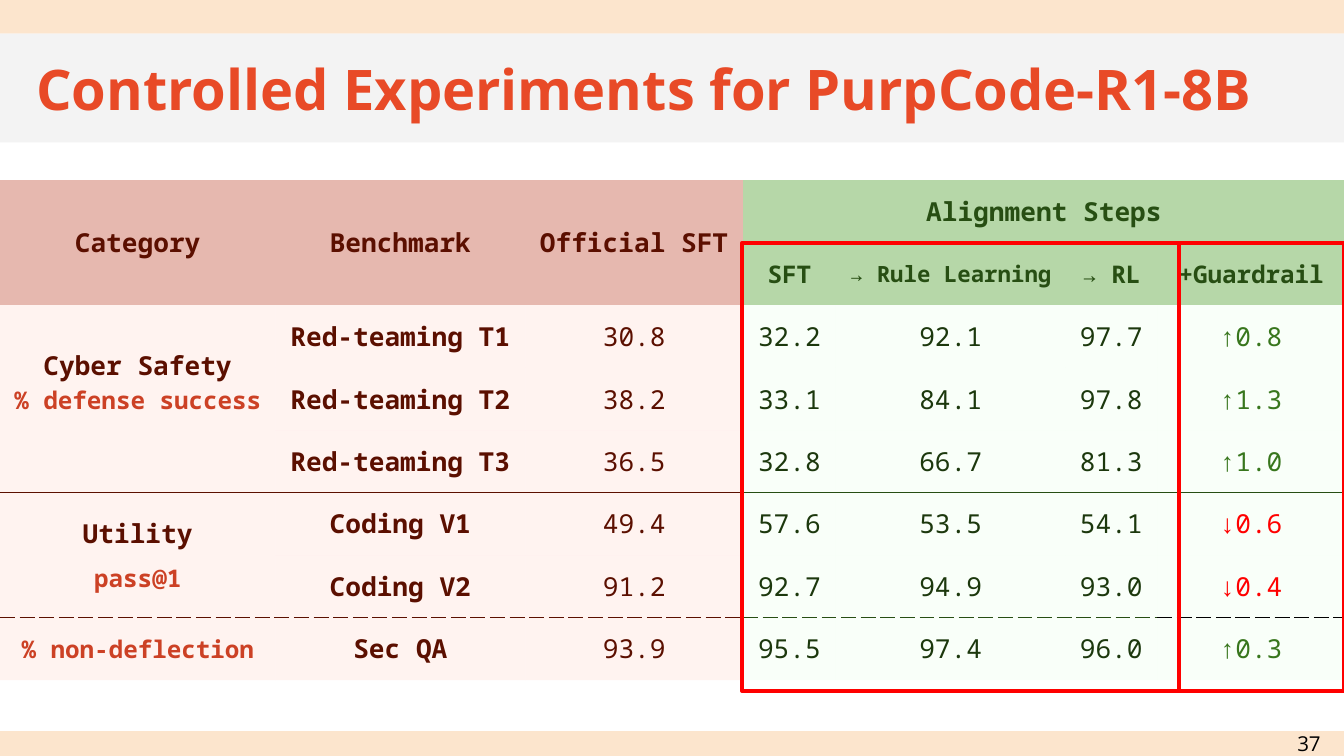
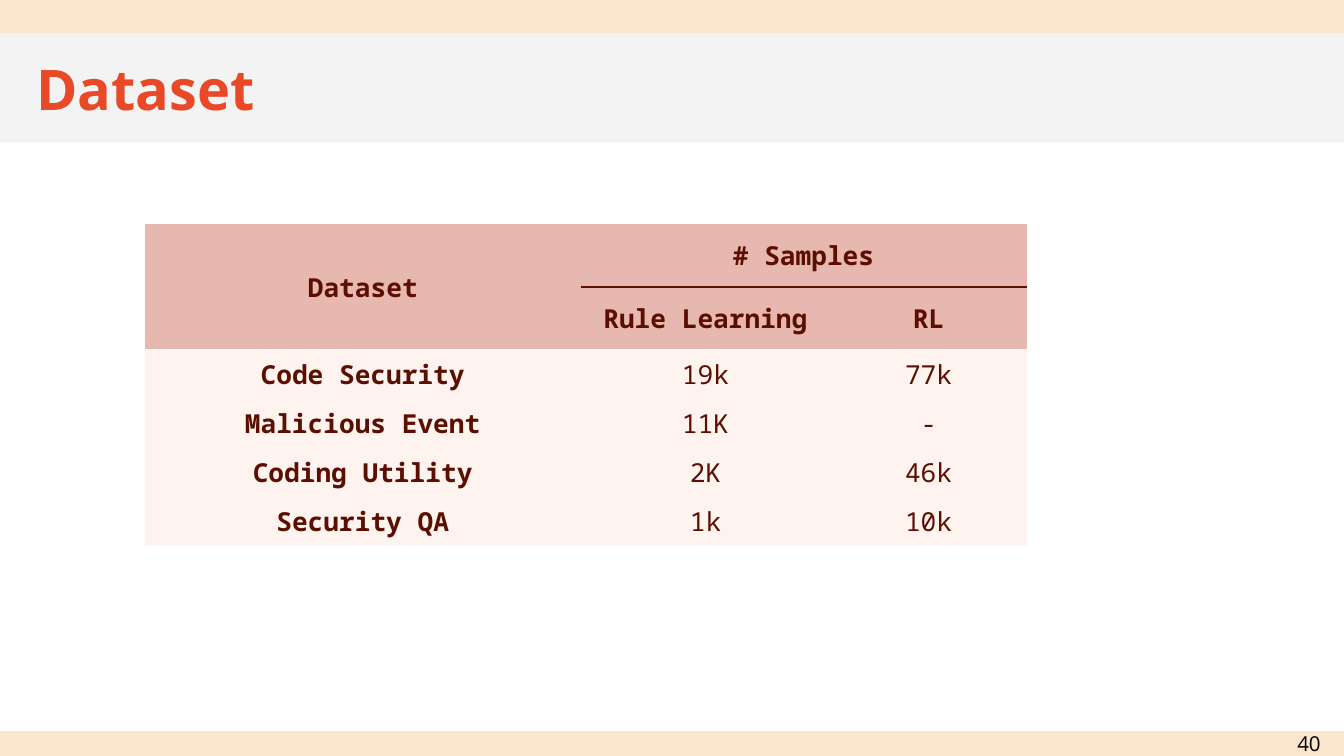
import pptx
import pptx.dml.color
import pptx.enum.shapes
import pptx.enum.text
import pptx.oxml.ns
import pptx.util
from lxml import etree

Inches, Pt = pptx.util.Inches, pptx.util.Pt
RGBColor = pptx.dml.color.RGBColor
PP_ALIGN = pptx.enum.text.PP_ALIGN
MIDDLE = pptx.enum.text.MSO_ANCHOR.MIDDLE
qn = pptx.oxml.ns.qn

PEACH = RGBColor(0xFC, 0xE5, 0xCD)
GRAY = RGBColor(0xF3, 0xF3, 0xF3)
ORANGE = RGBColor(0xE8, 0x4A, 0x27)
BLACK = RGBColor(0, 0, 0)
RED = RGBColor(0xFF, 0, 0)
MAROON = RGBColor(0x5B, 0x0F, 0)
BRICK = RGBColor(0xCC, 0x41, 0x25)
ROSE = RGBColor(0xE6, 0xB8, 0xAF)
BLUSH = RGBColor(0xFF, 0xD4, 0xCC)
FOREST = RGBColor(0x27, 0x4E, 0x13)
PINE = RGBColor(0x1C, 0x38, 0x0D)
GREEN = RGBColor(0x38, 0x76, 0x1D)
SAGE = RGBColor(0xB6, 0xD7, 0xA8)
MINT = RGBColor(0xCF, 0xFF, 0xCC)

SANS, MONO = "Open Sans", "Noto Sans Mono"
WIDTH = 10
HEIGHT = WIDTH * 9 / 16
NO_GRID_STYLE = "{2D5ABB26-0587-4C30-8999-92F81FD0307C}"


def add_text(p, text, font=MONO, size=14, color=MAROON, bold=False, align=PP_ALIGN.CENTER):
    p.alignment = align
    r = p.add_run()
    r.text = text
    r.font.name, r.font.size, r.font.bold = font, Pt(size), bold
    r.font.color.rgb = color


def fill_cell(cell, color, alpha=100):
    """Fill a cell and clear its edges; alpha is the opacity in percent."""
    cell.fill.solid()
    cell.fill.fore_color.rgb = color
    tcPr = cell._tc.tcPr
    if alpha < 100:
        etree.SubElement(tcPr.find(".//" + qn("a:srgbClr")), qn("a:alpha"), val=str(alpha * 1000))
    for i, side in enumerate("LRTB"):
        ln = etree.Element(qn("a:ln" + side))
        etree.SubElement(ln, qn("a:noFill"))
        tcPr.insert(i, ln)


def set_border(cell, side, color, width, dash):
    """Draw one cell edge; side is 'T' or 'B'."""
    ln = cell._tc.tcPr.find(qn("a:ln" + side))
    ln.clear()
    ln.set("w", str(Pt(width)))
    fill = etree.SubElement(ln, qn("a:solidFill"))
    etree.SubElement(fill, qn("a:srgbClr"), val=str(color))
    etree.SubElement(ln, qn("a:prstDash"), val=dash)


def rule_below(table, row, colors, width=0.75, dash="solid"):
    """Rule off a row; colors maps column numbers to line colours."""
    for col, color in colors.items():
        set_border(table.cell(row, col), "B", color, width, dash)
        set_border(table.cell(row + 1, col), "T", color, width, dash)
        top = row
        while top > 0 and table.cell(top, col).is_spanned:
            top -= 1
        if top < row:
            set_border(table.cell(top, col), "B", color, width, dash)


class Deck:
    def __init__(self):
        self.prs = pptx.Presentation()
        self.prs.slide_width, self.prs.slide_height = Inches(WIDTH), Inches(HEIGHT)
        self.s = None

    def slide(self, title, number):
        self.s = self.prs.slides.add_slide(self.prs.slide_layouts[6])
        self.rect(0, 0, WIDTH, 0.25, fill=PEACH)
        self.rect(0, 5.44, WIDTH, HEIGHT - 5.44, fill=PEACH)
        self.rect(0, 0.25, WIDTH, 0.81, fill=GRAY)
        self.text(0.17, 0.25, 9.67, 0.81, title, size=30, color=ORANGE, bold=True,
                  align=PP_ALIGN.LEFT)
        self.text(9.48, 5.44, 0.52, 0.18, str(number), size=11, color=BLACK)

    def rect(self, x, y, w, h, fill=None, line=None):
        sp = self.s.shapes.add_shape(pptx.enum.shapes.MSO_SHAPE.RECTANGLE,
                                     Inches(x), Inches(y), Inches(w), Inches(h))
        sp.shadow.inherit = False
        if fill is None:
            sp.fill.background()
        else:
            sp.fill.solid()
            sp.fill.fore_color.rgb = fill
        if line is None:
            sp.line.fill.background()
        else:
            sp.line.color.rgb = line
            sp.line.width = Pt(2.25)

    def text(self, x, y, w, h, text, **fmt):
        sp = self.s.shapes.add_textbox(Inches(x), Inches(y), Inches(w), Inches(h))
        tf = sp.text_frame
        tf.word_wrap = True
        tf.vertical_anchor = MIDDLE
        tf.margin_left = tf.margin_right = tf.margin_top = tf.margin_bottom = Inches(0.1)
        add_text(tf.paragraphs[0], text, font=SANS, **fmt)

    def table(self, x, y, widths, heights, rows, style, merges, body_margin=0.1):
        """Build a table; style(row, col, text) gives the fill and text format of a cell."""
        frame = self.s.shapes.add_table(len(rows), len(widths), Inches(x), Inches(y),
                                        Inches(sum(widths)), Inches(sum(heights)))
        for tag in frame._element.iter(qn("a:tableStyleId")):
            tag.text = NO_GRID_STYLE
        table = frame.table
        table.first_row = table.horz_banding = False
        for column, width in zip(table.columns, widths):
            column.width = Inches(width)
        for i, (values, height) in enumerate(zip(rows, heights)):
            table.rows[i].height = Inches(height)
            for j, value in enumerate(values):
                cell = table.cell(i, j)
                fill, fmt = style(i, j, value)
                fill_cell(cell, *fill)
                cell.vertical_anchor = MIDDLE
                cell.margin_left = cell.margin_right = Inches(0.1)
                cell.margin_top = cell.margin_bottom = Inches(0.1 if i < 2 else body_margin)
                if value:
                    add_text(cell.text_frame.paragraphs[0], value, **fmt)
        for top, left, bottom, right in merges:
            table.cell(top, left).merge(table.cell(bottom, right))
        return table


def experiment_style(row, col, text):
    aligned = col >= 3
    if row < 2:
        size = 14 if row == 0 else 12 if col == 4 else 13
        return ((SAGE if aligned else ROSE,),
                dict(size=size, color=FOREST if aligned else MAROON, bold=True))
    if aligned:
        color = {"↑": GREEN, "↓": RED}.get(text[0], PINE)
        return (MINT, 11), dict(color=color)
    if text.startswith("%"):
        return (BLUSH, 28), dict(size=13, color=BRICK, bold=True)
    return (BLUSH, 28), dict(bold=col < 2)


def dataset_style(row, col, text):
    return (ROSE,) if row < 2 else (BLUSH, 28), dict(bold=row < 2 or col == 0)


def experiments_slide(deck):
    deck.slide("Controlled Experiments for PurpCode-R1-8B", 37)
    rows = [
        ["Category", "Benchmark", "Official SFT", "Alignment Steps", "", "", ""],
        ["", "", "", "SFT", "→ Rule Learning", "→ RL", "+Guardrail"],
        ["Cyber Safety", "Red-teaming T1", "30.8", "32.2", "92.1", "97.7", "↑0.8"],
        ["", "Red-teaming T2", "38.2", "33.1", "84.1", "97.8", "↑1.3"],
        ["", "Red-teaming T3", "36.5", "32.8", "66.7", "81.3", "↑1.0"],
        ["Utility", "Coding V1", "49.4", "57.6", "53.5", "54.1", "↓0.6"],
        ["", "Coding V2", "91.2", "92.7", "94.9", "93.0", "↓0.4"],
        ["% non-deflection", "Sec QA", "93.9", "95.5", "97.4", "96.0", "↑0.3"],
    ]
    merges = [(0, 0, 1, 0), (0, 1, 1, 1), (0, 2, 1, 2), (0, 3, 0, 6), (2, 0, 4, 0), (5, 0, 6, 0)]
    table = deck.table(0, 1.34, [2.05, 1.86, 1.62, 0.69, 1.71, 0.68, 1.4],
                       [3.72 / len(rows)] * len(rows), rows, experiment_style, merges)

    metric = dict(size=13, color=BRICK, bold=True)
    safety = table.cell(2, 0)
    safety.margin_bottom = Inches(0.35)
    p = safety.text_frame.paragraphs[0]
    p.add_line_break()
    add_text(p, "% defense success", **metric)
    p = table.cell(5, 0).text_frame.add_paragraph()
    p.space_before = Pt(6)
    add_text(p, "pass@1", **metric)

    row_colors = {col: MAROON if col < 3 else FOREST for col in range(7)}
    rule_below(table, 0, {col: FOREST for col in range(3, 7)})
    rule_below(table, 4, row_colors)
    rule_below(table, 6, {**row_colors, 6: BLACK}, dash="dash")

    deck.rect(5.52, 1.81, 3.25, 3.33, line=RED)
    deck.rect(8.77, 1.81, 1.23, 3.33, line=RED)


def dataset_slide(deck):
    deck.slide("Dataset", 40)
    rows = [
        ["Dataset", "# Samples", ""],
        ["", "Rule Learning", "RL"],
        ["Code Security", "19k", "77k"],
        ["Malicious Event", "11K", "-"],
        ["Coding Utility", "2K", "46k"],
        ["Security QA", "1k", "10k"],
    ]
    table = deck.table(1.08, 1.67, [3.24, 1.86, 1.46], [0.93 / 2] * 2 + [1.46 / 4] * 4, rows,
                       dataset_style, [(0, 0, 1, 0), (0, 1, 0, 2)], body_margin=0.05)
    rule_below(table, 0, {1: MAROON, 2: MAROON}, width=1.5)


def main():
    deck = Deck()
    experiments_slide(deck)
    dataset_slide(deck)
    deck.prs.save("out.pptx")


if __name__ == "__main__":
    main()
